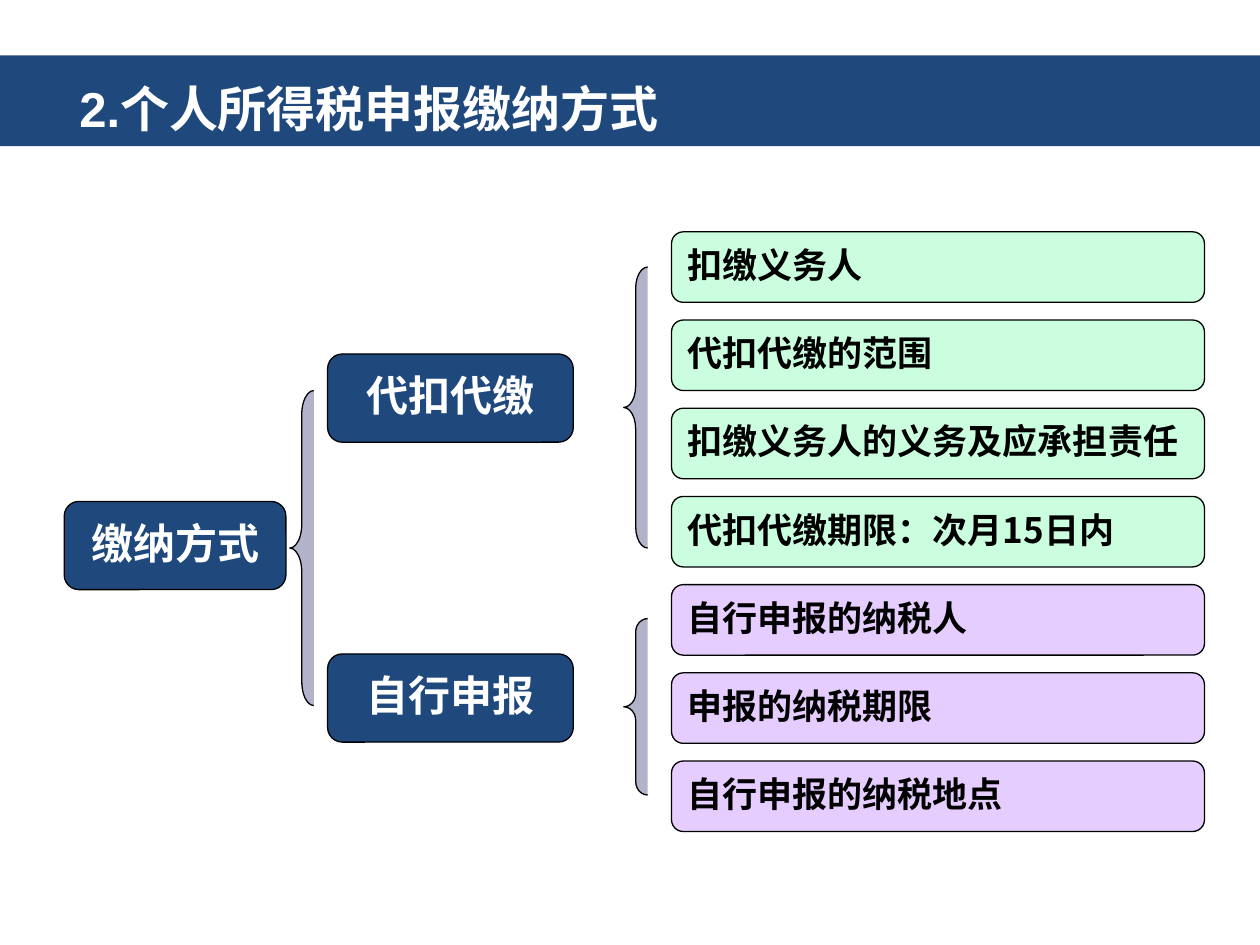
from dataclasses import dataclass

from lxml import etree
from pptx import Presentation
from pptx.dml.color import RGBColor
from pptx.enum.shapes import MSO_SHAPE as Shape
from pptx.enum.text import MSO_ANCHOR as Anchor, PP_ALIGN as Align
from pptx.oxml.ns import qn
from pptx.util import Inches, Pt


@dataclass(frozen=True)
class Theme:
    navy: str = "1F497D"
    mint: str = "CAFEDE"
    lilac: str = "E6CDFF"
    brace: str = "666699"
    ink: str = "000000"
    paper: str = "FFFFFF"
    latin: str = "Arial"
    cjk: str = "Noto Sans CJK SC"
    title_size: int = 28
    node_size: int = 24
    leaf_size: int = 20
    line_width: float = 0.75


class TreeSlide:
    def __init__(self, page, theme):
        self.page = page
        self.theme = theme

    def shape(self, kind, left, top, width, height, fill, outlined=True):
        shape = self.page.shapes.add_shape(
            kind, Inches(left), Inches(top), Inches(width), Inches(height))
        shape.shadow.inherit = False
        shape.fill.solid()
        shape.fill.fore_color.rgb = RGBColor.from_string(fill)
        if outlined:
            shape.line.color.rgb = RGBColor.from_string(self.theme.ink)
            shape.line.width = Pt(self.theme.line_width)
        else:
            shape.line.fill.background()
        return shape

    def label(self, shape, text, size, color, font, align, spacing=0.9):
        frame = shape.text_frame
        frame.text = text
        frame.word_wrap = True
        frame.vertical_anchor = Anchor.MIDDLE
        para = frame.paragraphs[0]
        para.alignment = align
        para.line_spacing = spacing
        span = para.runs[0]
        span.font.name = font
        span.font.size = Pt(size)
        span.font.bold = True
        span.font.color.rgb = RGBColor.from_string(color)
        east_asian = etree.SubElement(span._r.get_or_add_rPr(), qn("a:ea"))
        east_asian.set("typeface", self.theme.cjk)

    def title_bar(self, text):
        theme = self.theme
        bar = self.shape(Shape.RECTANGLE, 0, 0.44, 10, 0.72, theme.navy, outlined=False)
        bar.text_frame.margin_left = Inches(0.63)
        self.label(bar, text, theme.title_size, theme.paper, theme.latin, Align.LEFT, 1.25)

    def node(self, text, left, top, width):
        theme = self.theme
        box = self.shape(Shape.ROUNDED_RECTANGLE, left, top, width, 0.7, theme.navy)
        self.label(box, text, theme.node_size, theme.paper, theme.cjk, Align.CENTER)

    def leaf(self, text, top, fill):
        theme = self.theme
        box = self.shape(Shape.ROUNDED_RECTANGLE, 5.33, top, 4.23, 0.56, fill)
        self.label(box, text, theme.leaf_size, theme.ink, theme.cjk, Align.LEFT)

    def brace(self, left, top, height):
        """Half-transparent brace whose curl grows with its height."""
        brace = self.shape(Shape.LEFT_BRACE, left, top, 0.19, height, self.theme.brace)
        brace.adjustments[0] = 0.4 * height
        color = brace._element.spPr.find(qn("a:solidFill"))[0]
        etree.SubElement(color, qn("a:alpha")).set("val", "50000")


def main():
    theme = Theme()
    deck = Presentation()
    deck.slide_width, deck.slide_height = Inches(10), Inches(7.5)
    slide = TreeSlide(deck.slides.add_slide(deck.slide_layouts[6]), theme)

    # Branch name, its top, brace top and height, leaf colour, leaves
    branches = [
        ("代扣代缴", 2.81, 2.12, 2.23, theme.mint,
         ["扣缴义务人", "代扣代缴的范围", "扣缴义务人的义务及应承担责任",
          "代扣代缴期限：次月15日内"]),
        ("自行申报", 5.19, 4.91, 1.4, theme.lilac,
         ["自行申报的纳税人", "申报的纳税期限", "自行申报的纳税地点"]),
    ]

    slide.title_bar("2.个人所得税申报缴纳方式")
    slide.node("缴纳方式", 0.51, 3.98, 1.76)
    slide.brace(2.3, 3.1, 2.5)
    first_leaf, leaf_pitch = 1.84, 0.7
    row = 0
    for name, top, brace_top, brace_height, fill, leaves in branches:
        slide.node(name, 2.6, top, 1.95)
        slide.brace(4.95, brace_top, brace_height)
        for text in leaves:
            slide.leaf(text, first_leaf + row * leaf_pitch, fill)
            row += 1

    deck.save("out.pptx")


if __name__ == "__main__":
    main()
